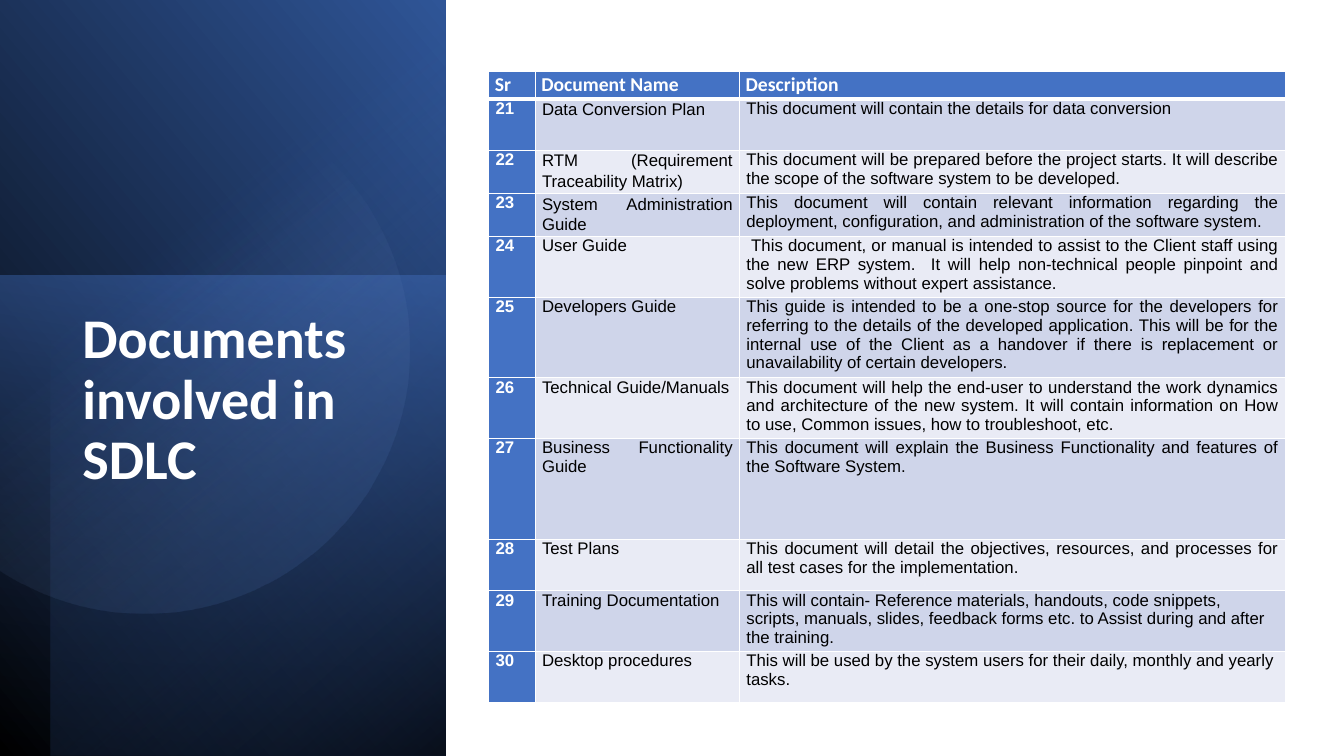
import math
from lxml import etree
from pptx import Presentation
from pptx.dml.color import RGBColor
from pptx.enum import shapes, text
from pptx.oxml import ns
from pptx.util import Cm, Pt

WHITE = RGBColor(0xFF, 0xFF, 0xFF)
BLACK = RGBColor(0, 0, 0)
BLUE = RGBColor(0x44, 0x72, 0xC4)
DEEP = RGBColor(0x2F, 0x55, 0x97)
NAVY = RGBColor(0x20, 0x38, 0x64)
SKY = RGBColor(0x8F, 0xAA, 0xDC)
BANDS = RGBColor(0xCF, 0xD5, 0xEA), RGBColor(0xE9, 0xEB, 0xF5)


def shade(shape, angle, *stops):
    """Fill with two (position, colour, opacity %) stops; angle is clockwise."""
    shape.shadow.inherit = False
    shape.line.fill.background()
    shape.fill.gradient()
    shape.fill.gradient_angle = 360 - angle
    for stop, (pos, color, _) in zip(shape.fill.gradient_stops, stops):
        stop.position = pos
        stop.color.rgb = color
    tints = shape._element.spPr.iter(ns.qn("a:srgbClr"))
    for tint, (_, _, alpha) in zip(tints, stops):
        etree.SubElement(tint, ns.qn("a:alpha"), val=str(alpha * 1000))


def edge(cell, side, width):
    line = etree.SubElement(cell._tc.get_or_add_tcPr(), ns.qn("a:ln" + side),
                            w=str(Pt(width)))
    fill = etree.SubElement(line, ns.qn("a:solidFill"))
    etree.SubElement(fill, ns.qn("a:srgbClr"), val=str(WHITE))


deck = Presentation()
deck.slide_width, deck.slide_height = Cm(33.87), Cm(19.05)
slide = deck.slides.add_slide(deck.slide_layouts[6])

# Left panel: three shaded boxes and a clipped disc
panels = [
    (0, 0, 11.23, 19.05, 320, (0, BLACK, 100), (1, DEEP, 100)),
    (0, 6.95, 11.23, 12.1, 100, (0, BLUE, 50), (1, NAVY, 0)),
    (1.27, 0, 9.96, 19.05, 230, (0, BLACK, 59), (0.69, BLUE, 0)),
]
for left, top, width, height, angle, *stops in panels:
    box = slide.shapes.add_shape(shapes.MSO_SHAPE.RECTANGLE, Cm(left), Cm(top),
                                 Cm(width), Cm(height))
    shade(box, angle, *stops)

mid_x, mid_y, radius = 3.65, 8.8, 6.66
reach = math.acos(-mid_x / radius)
steps = 90
rim = []
for step in range(steps + 1):
    turn = reach * (2 * step / steps - 1)
    rim.append((Cm(mid_x + radius * math.cos(turn)),
                Cm(mid_y + radius * math.sin(turn))))
pen = slide.shapes.build_freeform(*rim[0])
pen.add_line_segments(rim[1:], close=True)
shade(pen.convert_to_shape(), 52, (0.39, SKY, 0), (1, DEEP, 26))

title = slide.shapes.add_textbox(Cm(1.83), Cm(7.7), Cm(8), Cm(8.53))
title.text_frame.word_wrap = True
para = title.text_frame.paragraphs[0]
para.line_spacing = 0.9
run = para.add_run()
run.text = "Documents involved in SDLC"
run.font.name, run.font.size, run.font.bold = "Calibri", Pt(40), True
run.font.color.rgb = WHITE

# Table: row height in cm, then the cell texts
rows = [
    (0.69, "Sr", "Document Name", "Description"),
    (1.3, "21", "Data Conversion Plan",
     "This document will contain the details for data conversion"),
    (0.69, "22", "RTM (Requirement Traceability Matrix)",
     "This document will be prepared before the project starts. It will "
     "describe the scope of the software system to be developed."),
    (0.69, "23", "System Administration Guide",
     "This document will contain relevant information regarding the deployment, "
     "configuration, and administration of the software system."),
    (1.24, "24", "User Guide",
     " This document, or manual is intended to assist to the Client staff using "
     "the new ERP system.  It will help non-technical people pinpoint and solve "
     "problems without expert assistance."),
    (1.3, "25", "Developers Guide",
     "This guide is intended to be a one-stop source for the developers for "
     "referring to the details of the developed application. This will be for "
     "the internal use of the Client as a handover if there is replacement or "
     "unavailability of certain developers."),
    (1.3, "26", "Technical Guide/Manuals",
     "This document will help the end-user to understand the work dynamics and "
     "architecture of the new system. It will contain information on How to "
     "use, Common issues, how to troubleshoot, etc."),
    (2.54, "27", "Business Functionality Guide",
     "This document will explain the Business Functionality and features of "
     "the Software System."),
    (1.3, "28", "Test Plans",
     "This document will detail the objectives, resources, and processes for "
     "all test cases for the implementation."),
    (1.3, "29", "Training Documentation",
     "This will contain- Reference materials, handouts, code snippets, scripts, "
     "manuals, slides, feedback forms etc. to Assist during and after the "
     "training."),
    (1.3, "30", "Desktop procedures",
     "This will be used by the system users for their daily, monthly and "
     "yearly tasks."),
]
widths = 1.17, 5.15, 13.76
table = slide.shapes.add_table(len(rows), len(widths), Cm(12.32), Cm(1.8),
                               Cm(sum(widths)), Cm(13.65)).table
for column, width in zip(table.columns, widths):
    column.width = Cm(width)

for r, (height, *words) in enumerate(rows):
    table.rows[r].height = Cm(height)
    head = r == 0
    for c, word in enumerate(words):
        cell = table.cell(r, c)
        cell.margin_left = cell.margin_right = Cm(0.15 if head else 0.17)
        cell.margin_top = cell.margin_bottom = 0
        for side in "LRTB":
            thick = (r, side) in ((0, "B"), (1, "T"))
            edge(cell, side, 3 if thick else 1)
        strong = head or c == 0
        cell.fill.solid()
        cell.fill.fore_color.rgb = BLUE if strong else BANDS[(r - 1) % 2]
        para = cell.text_frame.paragraphs[0]
        if head or (c == 1 and r <= 3):
            para.line_spacing, para.space_after = 1.07, Pt(8)
        ragged = strong or (c == 2 and r >= 9)
        para.alignment = text.PP_ALIGN.LEFT if ragged else text.PP_ALIGN.JUSTIFY
        run = para.add_run()
        run.text = word
        run.font.name = "Calibri" if head else "Arial"
        run.font.size = Pt(14 if head else 12)
        run.font.bold = strong
        run.font.color.rgb = WHITE if strong else BLACK

deck.save("out.pptx")
